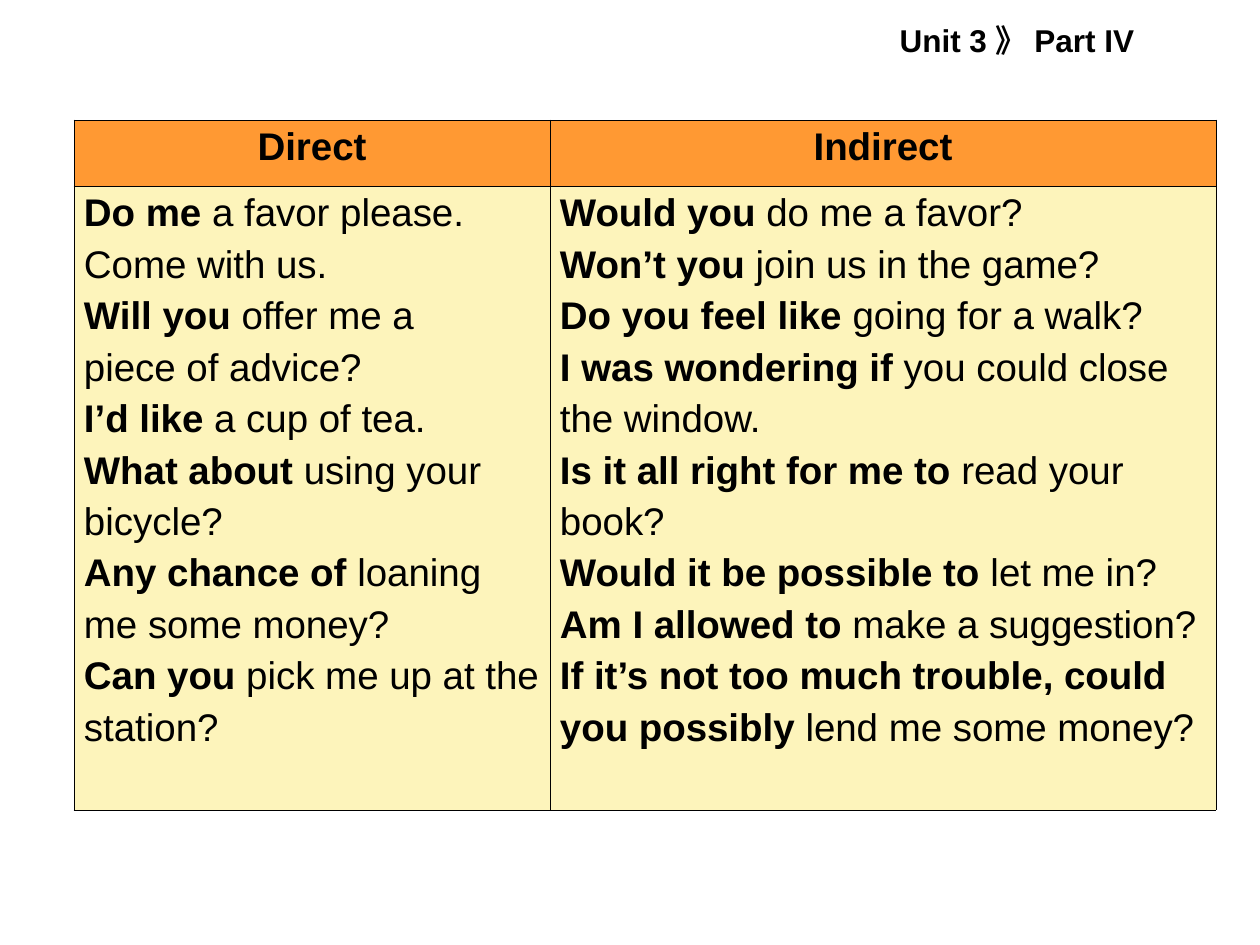
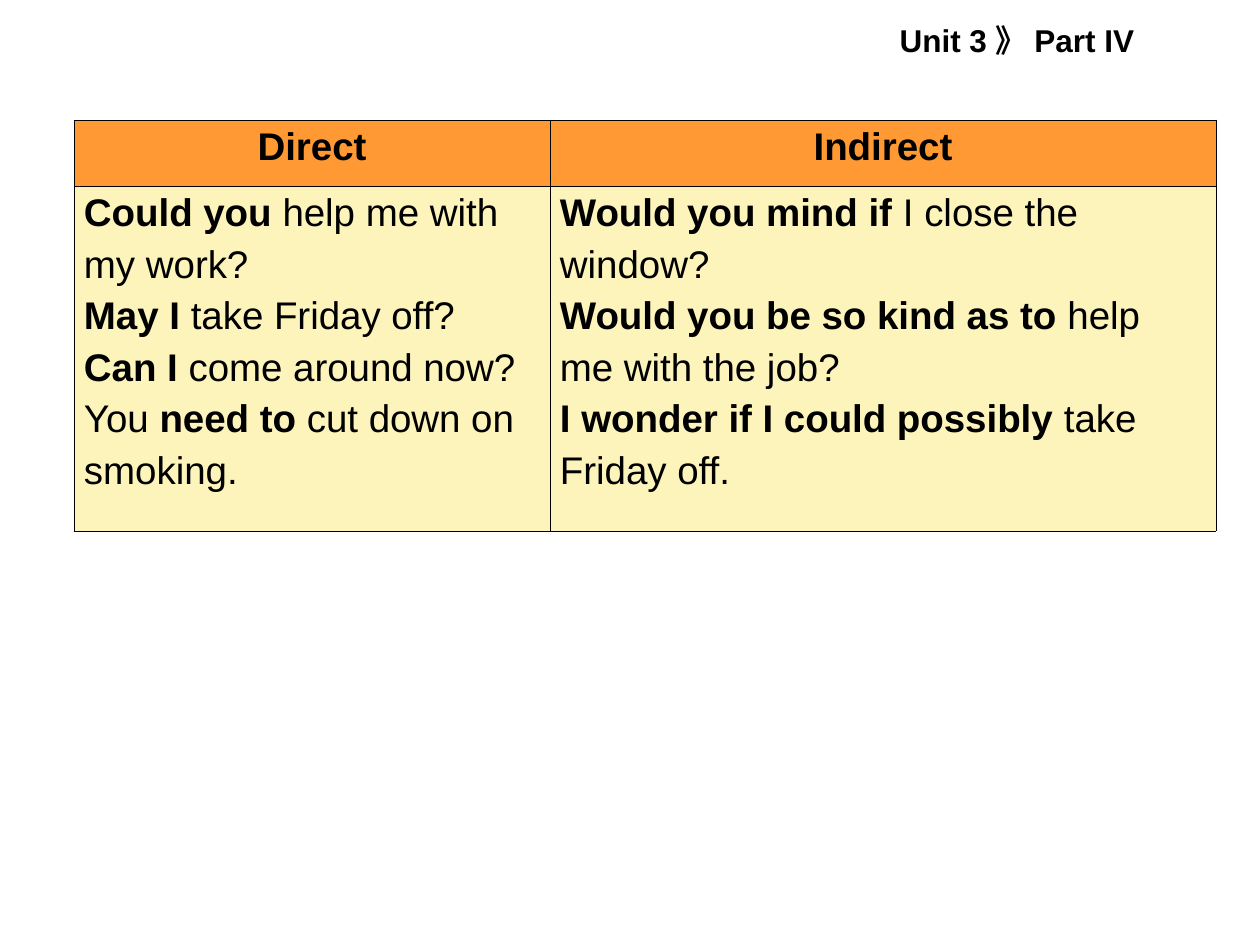
import pptx
import pptx.util
import pptx.dml.color
import pptx.enum.text
import pptx.oxml.ns
import lxml.etree

PX = 914400 / 126
COLORS = {"text": "000000", "header": "FF9933", "body": "FDF4BB", "border": "000000"}
HEADINGS = ["Direct", "Indirect"]
COL_WIDTHS = [476, 666]
HEADER_HEIGHT = 66
INDENT = 48

SLIDES = [
    {
        "body_height": 624,
        "columns": [
            [
                "*Do me *a favor please.",
                "Come with us.",
                "*Will you *offer me a",
                "piece of advice?",
                "*I’d like *a cup of tea.",
                "*What about *using your",
                "bicycle?",
                "*Any chance of *loaning",
                "me some money?",
                "*Can you *pick me up at the",
                "station?",
            ],
            [
                "*Would you *do me a favor?",
                "*Won’t you *join us in the game?",
                "*Do you feel like *going for a walk?",
                "*I was wondering if *you could close",
                "the window.",
                "*Is it all right for me to *read your",
                "book?",
                "*Would it be possible to *let me in?",
                "*Am I allowed to *make a suggestion?",
                "*If it’s not too much trouble, could*",
                "*you possibly *lend me some money?",
            ],
        ],
    },
    {
        "body_height": 345,
        "columns": [
            [
                "*Could you *help me with",
                "my work?",
                "*May I *take Friday off?",
                "*Can I *come around now?",
                "You *need to *cut down on",
                "smoking.",
            ],
            [
                "*Would you mind if *I close the",
                "window?",
                "*Would you be so kind as to *help",
                "me with the job?",
                "*I wonder if I could possibly *take",
                "Friday off.",
            ],
        ],
    },
]


def px(n):
    return pptx.util.Emu(round(n * PX))


def add_marked_text(p, text, size):
    for i, part in enumerate(text.split("*")):
        if part:
            r = p.add_run()
            r.text = part
            font = {"name": "Arial", "size": pptx.util.Pt(size), "bold": i % 2 == 1}
            for key, value in font.items():
                setattr(r.font, key, value)
            r.font.color.rgb = pptx.dml.color.RGBColor.from_string(COLORS["text"])


prs = pptx.Presentation()
prs.slide_width, prs.slide_height = px(1260), px(945)

for content in SLIDES:
    s = prs.slides.add_slide(prs.slide_layouts[5])
    title = s.shapes.title
    for key, value in {"left": 887, "top": 15, "width": 276, "height": 50}.items():
        setattr(title, key, px(value))
    tf = title.text_frame
    frame = {
        "word_wrap": False,
        "auto_size": pptx.enum.text.MSO_AUTO_SIZE.SHAPE_TO_FIT_TEXT,
        "vertical_anchor": pptx.enum.text.MSO_ANCHOR.TOP,
    }
    for key, value in frame.items():
        setattr(tf, key, value)
    p = tf.paragraphs[0]
    p.alignment = pptx.enum.text.PP_ALIGN.LEFT
    add_marked_text(p, "*Unit 3 》 Part IV*", 18)

    heights = [HEADER_HEIGHT, content["body_height"]]
    table = s.shapes.add_table(
        2, 2, px(74), px(120), px(sum(COL_WIDTHS)), px(sum(heights))
    ).table
    table.horz_banding = False
    for col, width in zip(table.columns, COL_WIDTHS):
        col.width = px(width)
    for row, height in zip(table.rows, heights):
        row.height = px(height)

    rows = [[[f"*{heading}*"] for heading in HEADINGS], content["columns"]]
    for y, row in enumerate(rows):
        for x, lines in enumerate(row):
            cell = table.cell(y, x)
            margins = {"margin_left": 10, "margin_right": 10, "margin_top": 6, "margin_bottom": 6}
            for key, value in margins.items():
                setattr(cell, key, px(value))
            tcPr = cell._tc.get_or_add_tcPr()
            for side in ("a:lnL", "a:lnR", "a:lnT", "a:lnB"):
                ln = lxml.etree.SubElement(tcPr, pptx.oxml.ns.qn(side), w="5715")
                fill = lxml.etree.SubElement(ln, pptx.oxml.ns.qn("a:solidFill"))
                lxml.etree.SubElement(fill, pptx.oxml.ns.qn("a:srgbClr"), val=COLORS["border"])
            cell.fill.solid()
            cell.fill.fore_color.rgb = pptx.dml.color.RGBColor.from_string(
                COLORS["body" if y else "header"]
            )
            tf = cell.text_frame
            for i, line in enumerate(lines):
                p = tf.add_paragraph() if i else tf.paragraphs[0]
                if y:
                    pPr = p._p.get_or_add_pPr()
                    pPr.set("marL", str(px(INDENT)))
                    pPr.set("indent", str(px(-INDENT)))
                    p.space_before = pptx.util.Pt(4.8 if i else 0)
                else:
                    p.alignment = pptx.enum.text.PP_ALIGN.CENTER
                add_marked_text(p, line, 22)

prs.save("out.pptx")
